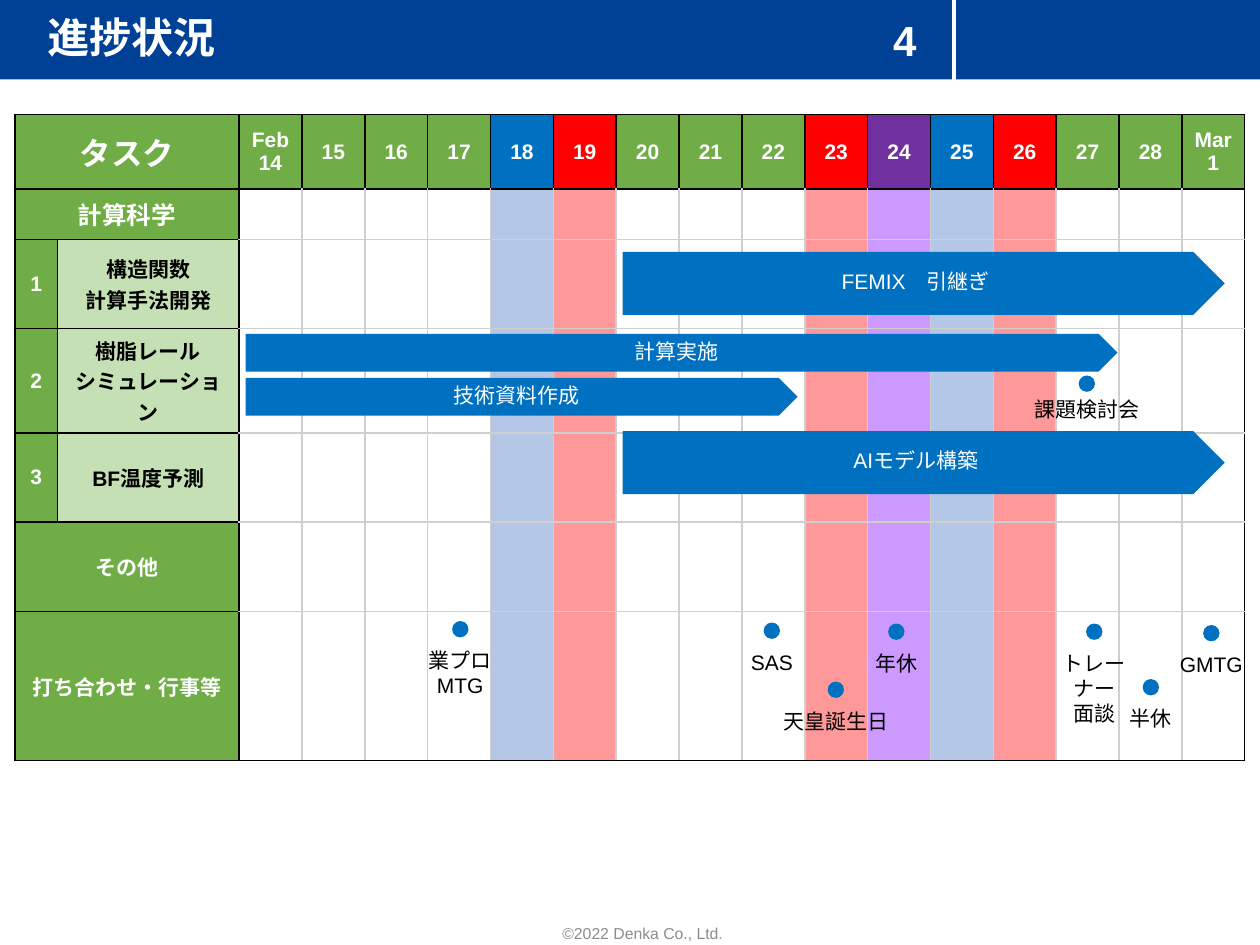
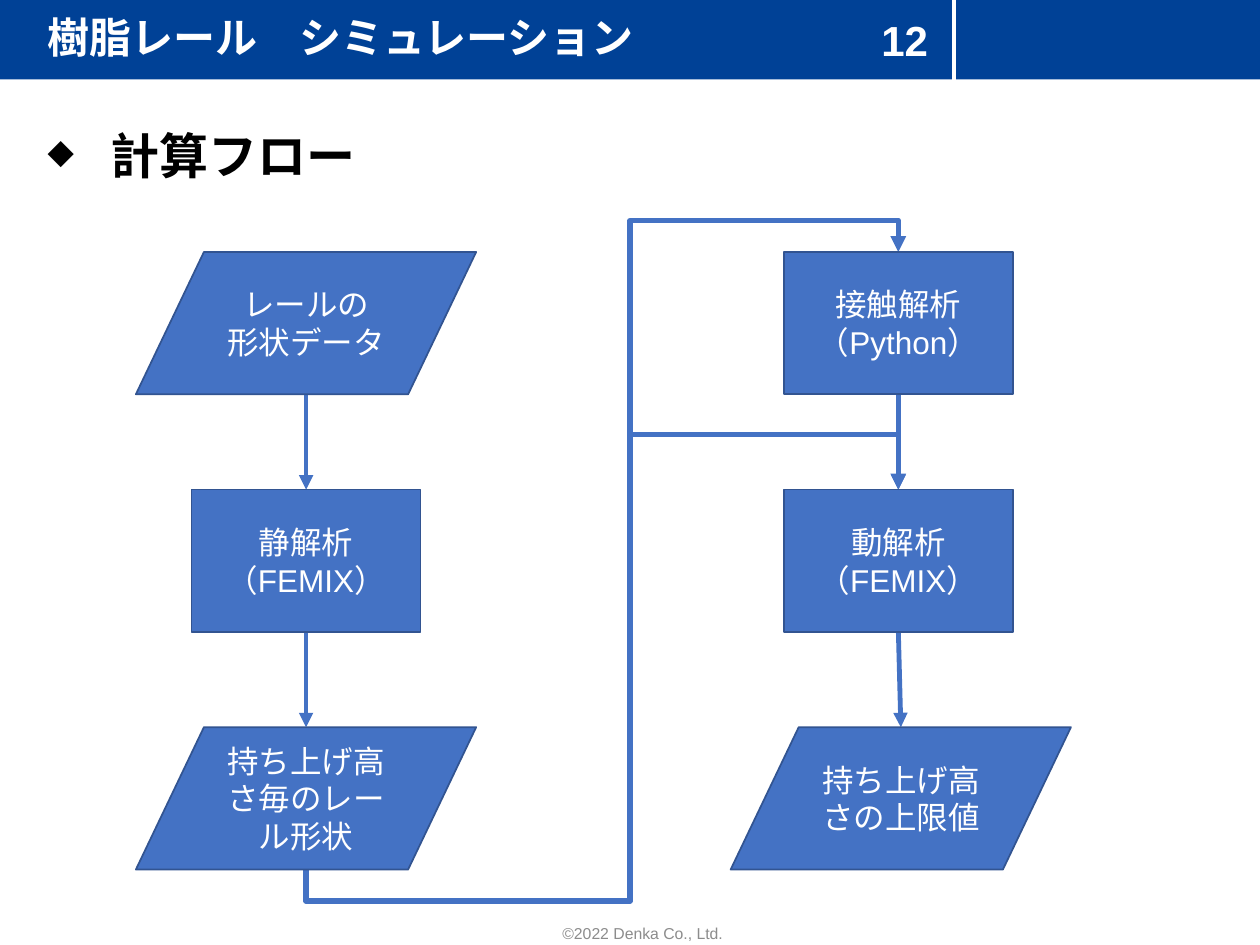
from lxml import etree
from pptx import Presentation
from pptx.dml.color import RGBColor
from pptx.enum.shapes import MSO_CONNECTOR as CONN, MSO_SHAPE as SHAPE
from pptx.enum.text import MSO_ANCHOR as ANCHOR, PP_ALIGN as ALIGN
from pptx.oxml.ns import qn
from pptx.util import Cm, Pt

COLORS = {
    "white": "FFFFFF", "black": "000000", "footer": "8C8C8C", "band": "004196",
    "green": "70AD47", "pale_green": "C5E0B4", "grid": "D0CECE",
    "blue": "0070C0", "red": "FF0000", "purple": "7030A0",
    "pale_blue": "B4C7E7", "pale_red": "FF9999", "pale_purple": "CC99FF",
    "flow": "4472C4", "flow_edge": "325491",
}
FONT = "Arial"


def rgb(name):
    return RGBColor.from_string(COLORS[name])


def write(tf, text, size=12, color="black", bold=False, align=ALIGN.CENTER,
          anchor=ANCHOR.MIDDLE, spacing=None, bullet=None, indent=1.27):
    """Fill a text frame, one paragraph per line of text."""
    tf.word_wrap = True
    tf.vertical_anchor = anchor
    for i, line in enumerate(text.split("\n")):
        p = tf.paragraphs[0] if i == 0 else tf.add_paragraph()
        p.alignment = align
        if spacing:
            p.line_spacing = spacing
        if bullet:
            pPr = p._p.get_or_add_pPr()
            pPr.set("marL", str(Cm(indent)))
            pPr.set("indent", str(-Cm(indent)))
            etree.SubElement(pPr, qn("a:buSzPct")).set("val", "70000")
            etree.SubElement(pPr, qn("a:buChar")).set("char", bullet)
        r = p.add_run()
        r.text = line
        r.font.name, r.font.size, r.font.bold = FONT, Pt(size), bold
        r.font.color.rgb = rgb(color)


class Deck:
    """Shared style plus the slide being drawn; all lengths are in cm."""

    def __init__(self):
        self.prs = Presentation()
        self.prs.slide_width, self.prs.slide_height = Cm(25.4), Cm(19.05)
        self.s = None

    def new_slide(self, title, number):
        self.s = self.prs.slides.add_slide(self.prs.slide_layouts[6])
        self.text(8.66, 18.11, 8.59, 1.02, "©2022 Denka Co., Ltd.", size=9,
                  color="footer", anchor=ANCHOR.BOTTOM)
        self.shape(SHAPE.RECTANGLE, 0, 0, 25.4, 1.6, "band")
        self.line((19.23, 0), (19.23, 1.83), "white", 2.25, arrow=False)
        head = dict(size=24, color="white", bold=True)
        self.text(0.71, 0, 16.54, 1.6, title, align=ALIGN.LEFT, spacing=0.9, **head)
        self.text(17.4, 0, 1.68, 1.6, str(number), **head)

    def text(self, x, y, w, h, text, **fmt):
        sp = self.s.shapes.add_textbox(Cm(x), Cm(y), Cm(w), Cm(h))
        write(sp.text_frame, text, **fmt)

    def shape(self, kind, x, y, w, h, fill, edge=None, text=None, inset=None, **fmt):
        sp = self.s.shapes.add_shape(kind, Cm(x), Cm(y), Cm(w), Cm(h))
        sp.shadow.inherit = False
        sp.fill.solid()
        sp.fill.fore_color.rgb = rgb(fill)
        if edge:
            sp.line.color.rgb = rgb(edge)
            sp.line.width = Pt(1)
        else:
            sp.line.fill.background()
        if text:
            tf = sp.text_frame
            if inset is not None:
                tf.margin_left = tf.margin_right = Cm(inset)
                tf.margin_top = tf.margin_bottom = Cm(inset)
            write(tf, text, color="white", **fmt)

    def line(self, start, end, color, width, arrow=True, kind=CONN.STRAIGHT):
        c = self.s.shapes.add_connector(kind, *(Cm(v) for v in (*start, *end)))
        c.line.color.rgb = rgb(color)
        c.line.width = Pt(width)
        if arrow:
            etree.SubElement(c.line._get_or_add_ln(), qn("a:tailEnd")).set("type", "triangle")
        etree.SubElement(c._element.spPr, qn("a:effectLst"))
        return c

    def detour(self, start, end, low, lane, high, color, width):
        """Arrow that dips to low, climbs along lane, and drops from high to end."""
        (x1, y1), (x2, y2) = start, end
        w, h = y1 - y2, x2 - x1  # frame before its quarter turn
        x, y = (x1 + x2 - w) / 2, (y1 + y2 - h) / 2
        c = self.line((x, y), (x + w, y + h), color, width, kind=CONN.ELBOW)
        spPr = c._element.spPr
        xfrm = spPr.find(qn("a:xfrm"))
        for key, value in (("rot", "5400000"), ("flipH", "1"), ("flipV", "1")):
            xfrm.set(key, value)
        geom = spPr.find(qn("a:prstGeom"))
        geom.set("prst", "bentConnector5")
        av = geom.find(qn("a:avLst"))
        if av is None:
            av = etree.SubElement(geom, qn("a:avLst"))
        for i, part in enumerate(((y1 - low) / w, (lane - x1) / h, (y1 - high) / w), 1):
            gd = etree.SubElement(av, qn("a:gd"))
            gd.set("name", f"adj{i}")
            gd.set("fmla", f"val {round(part * 100000)}")

    def table(self, x, y, widths, heights):
        frame = self.s.shapes.add_table(len(heights), len(widths), Cm(x), Cm(y),
                                        Cm(sum(widths)), Cm(sum(heights)))
        t = frame.table
        t.first_row = t.horz_banding = False
        for col, w in zip(t.columns, widths):
            col.width = Cm(w)
        for row, h in zip(t.rows, heights):
            row.height = Cm(h)
        return t

    def cell(self, cell, borders, fill=None, text=None, **fmt):
        """Format a cell; borders are colour names for left, right, top, bottom."""
        tcPr = cell._tc.get_or_add_tcPr()
        for side, color in zip("LRTB", borders):
            ln = etree.SubElement(tcPr, qn(f"a:ln{side}"))
            ln.set("w", str(Pt(1)))
            solid = etree.SubElement(ln, qn("a:solidFill"))
            etree.SubElement(solid, qn("a:srgbClr")).set("val", COLORS[color])
        if fill:
            cell.fill.solid()
            cell.fill.fore_color.rgb = rgb(fill)
        else:
            cell.fill.background()
        if text:
            cell.vertical_anchor = ANCHOR.MIDDLE
            write(cell.text_frame, text, bold=True, **fmt)

    def bar(self, x, y, w, h, text):
        self.shape(SHAPE.PENTAGON, x, y, w, h, "blue", text=text, inset=0, spacing=0.85)

    def event(self, cx, y, w, text, gap=0.41):
        """Dot centred on cx with its label below."""
        d = 0.33
        self.text(cx - w / 2, y + gap, w, 0.76, text, anchor=ANCHOR.TOP)
        self.shape(SHAPE.OVAL, cx - d / 2, y, d, d, "blue")

    def step(self, kind, cx, y, w, text):
        self.shape(kind, cx - w / 2, y, w, BOX_H, "flow", "flow_edge", text, size=18)


# Schedule data
DAYS = ["Feb\n14", *map(str, range(15, 29)), "Mar\n1"]
SATURDAY, HOLIDAY, LEAVE = ("blue", "pale_blue"), ("red", "pale_red"), ("purple", "pale_purple")
DAY_COLORS = {"18": SATURDAY, "19": HOLIDAY, "23": HOLIDAY, "24": LEAVE,
              "25": SATURDAY, "26": HOLIDAY}
TASKS = [  # number (None spans both label columns), label, text size, row height
    (None, "タスク", 18, 1.5), (None, "計算科学", 14, 0.97),
    ("1", "構造関数\n計算手法開発", 12, 1.8), ("2", "樹脂レール\nシミュレーション", 12, 2.1),
    ("3", "BF温度予測", 12, 1.8), (None, "その他", 12, 1.8),
    (None, "打ち合わせ・行事等", 12, 3),
]
BARS = [
    (12.55, 5.08, 12.14, 1.27, "FEMIX　引継ぎ"),
    (4.95, 6.73, 17.58, 0.76, "計算実施"),
    (4.95, 7.62, 11.13, 0.76, "技術資料作成"),
    (12.55, 8.69, 12.14, 1.27, "AIモデル構築"),
]
EVENTS = [
    (9.28, 12.52, 2.6, "業プロMTG"), (15.56, 12.55, 1.45, "SAS"),
    (16.85, 13.74, 2.7, "天皇誕生日"), (18.07, 12.57, 1.45, "年休"),
    (22.06, 12.57, 2.37, "トレーナー\n面談"), (23.2, 13.69, 1.45, "半休"),
    (24.42, 12.6, 1.85, "GMTG"), (21.91, 7.57, 2.7, "課題検討会", 0.3),
]

# Flow grid
BOX_H = 2.87
ROWS = [5.08 + 4.79 * i for i in range(3)]
LEFT, RIGHT, RESULT = 6.17, 18.11, 18.16
DATA, PROCESS = (SHAPE.FLOWCHART_DATA, 6.86), (SHAPE.FLOWCHART_PROCESS, 4.62)
STEPS = [
    (DATA, LEFT, 0, "レールの\n形状データ"), (PROCESS, LEFT, 1, "静解析（FEMIX）"),
    (DATA, LEFT, 2, "持ち上げ高さ毎のレール形状"),
    (PROCESS, RIGHT, 0, "接触解析\n（Python）"), (PROCESS, RIGHT, 1, "動解析（FEMIX）"),
    (DATA, RESULT, 2, "持ち上げ高さの上限値"),
]


def progress_slide(deck):
    deck.new_slide("進捗状況", 4)
    t = deck.table(0.3, 2.31, [0.86, 3.66] + [20.28 / len(DAYS)] * len(DAYS),
                   [height for *_, height in TASKS])
    frame = ["black"] * 4
    last_row, last_day = len(TASKS) - 1, len(DAYS) - 1
    for row, (number, label, size, _) in enumerate(TASKS):
        # Task labels
        first, second = t.cell(row, 0), t.cell(row, 1)
        if number:
            deck.cell(first, frame, "green", number, color="white")
            deck.cell(second, frame, "pale_green", label, size=size)
        else:
            first.merge(second)
            deck.cell(first, frame, "green", label, size=size, color="white")
            deck.cell(second, frame, "green")
        # Calendar
        for i, day in enumerate(DAYS):
            head, tint = DAY_COLORS.get(day, ("green", None))
            cell = t.cell(row, i + 2)
            if row == 0:
                deck.cell(cell, frame, head, day, color="white")
            else:
                outer = (i == 0, i == last_day, row == 1, row == last_row)
                deck.cell(cell, ["black" if o else "grid" for o in outer], tint)
    for bar in BARS:
        deck.bar(*bar)
    for event in EVENTS:
        deck.event(*event)


def flow_slide(deck):
    deck.new_slide("樹脂レール　シミュレーション", 12)
    deck.text(0.71, 2.41, 23.95, 1.45, "計算フロー", size=28, bold=True,
              align=ALIGN.LEFT, anchor=ANCHOR.TOP, bullet="◆")
    # Arrows down each column
    for x, end_x, row in [(LEFT, LEFT, 0), (LEFT, LEFT, 1),
                          (RIGHT, RIGHT, 0), (RIGHT, RESULT, 1)]:
        deck.line((x, ROWS[row] + BOX_H), (end_x, ROWS[row + 1]), "flow", 2.75)
    # Arrows from the shapes by lift height to both analyses
    for row, high in ((0, 4.45), (1, 8.76)):
        deck.detour((LEFT, ROWS[2] + BOX_H), (RIGHT, ROWS[row]), 18.16, 12.7, high, "flow", 3)
    for (kind, w), cx, row, text in STEPS:
        deck.step(kind, cx, ROWS[row], w, text)


def main():
    deck = Deck()
    progress_slide(deck)
    flow_slide(deck)
    deck.prs.save("out.pptx")


if __name__ == "__main__":
    main()
